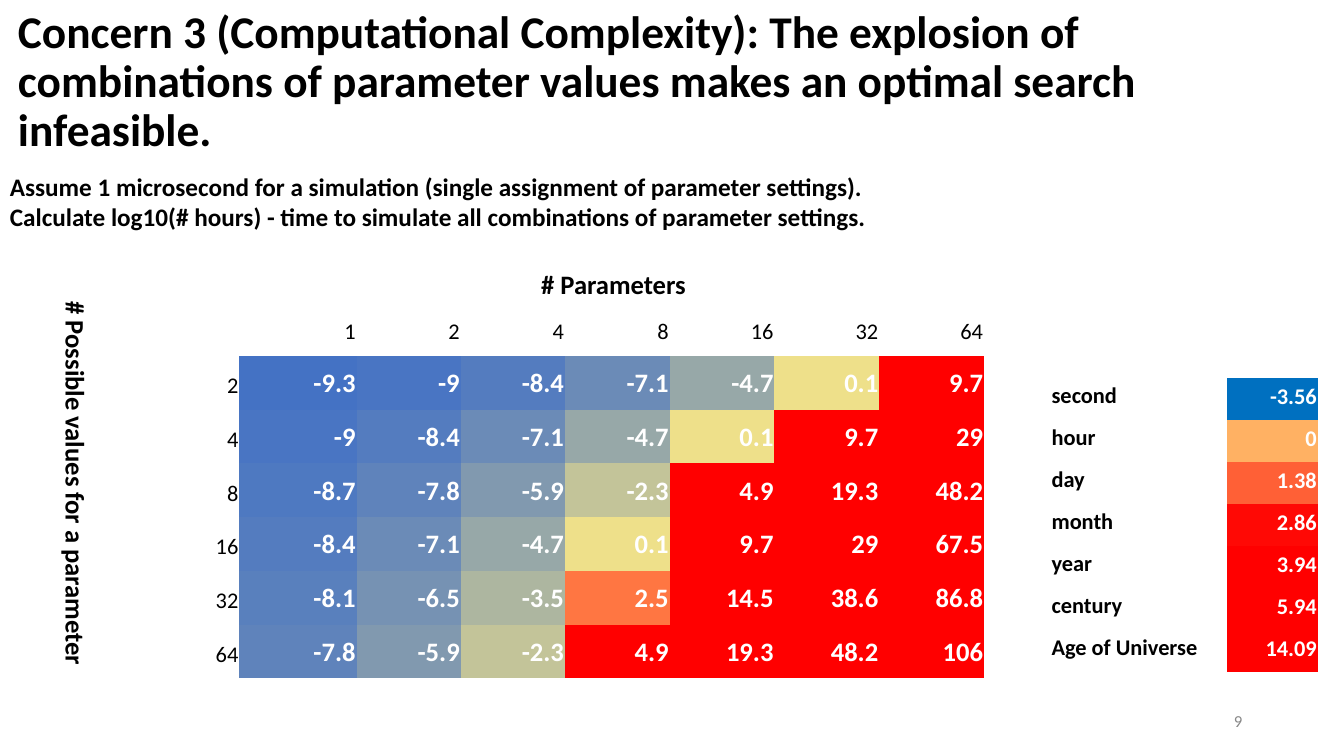
from dataclasses import dataclass
from math import log10

from pptx import Presentation
from pptx.dml.color import RGBColor
from pptx.enum.text import MSO_ANCHOR, PP_ALIGN
from pptx.oxml.ns import qn
from pptx.util import Inches, Pt

PAGE_WIDTH, PAGE_HEIGHT = Inches(13.33), Inches(7.5)
FONT = "Calibri"
NO_STYLE = "{2D5ABB26-0587-4C30-8999-92F81FD0307C}"
COLOURS = {"black": "000000", "white": "FFFFFF", "grey": "888888", "red": "FF0000"}
HEAT = {
    "-9.3": "4472C4", "-9": "4975C3", "-8.7": "4E79C1", "-8.4": "547CBF",
    "-8.1": "5980BD", "-7.8": "5F83BB", "-7.1": "6B8BB7", "-6.5": "7692B3",
    "-5.9": "8199AF", "-4.7": "97A8A8", "-3.5": "ADB6A0", "-2.3": "C3C499",
    "0.1": "EEE08A", "2.5": "FF7642",
    "-3.56": "0070C0", "0": "FFB163", "1.38": "FF6036", "2.86": "FF0905",
}
SIMULATIONS_PER_HOUR = 3600 * 10**6
PARAMETER_COUNTS = [1, 2, 4, 8, 16, 32, 64]
VALUE_COUNTS = [2, 4, 8, 16, 32, 64]
DURATIONS = {
    "second": "-3.56", "hour": "0", "day": "1.38", "month": "2.86",
    "year": "3.94", "century": "5.94", "Age of Universe": "14.09",
}


@dataclass(frozen=True)
class Area:
    """A rectangle in percent of the page's width and height."""
    left: float
    top: float
    width: float
    height: float

    def lengths(self) -> tuple[int, int, int, int]:
        return (across(self.left), down(self.top),
                across(self.width), down(self.height))


@dataclass(frozen=True)
class Label:
    area: Area
    lines: tuple[str, ...]
    size: float
    bold: bool = True
    colour: str = "black"
    align: PP_ALIGN = PP_ALIGN.LEFT
    anchor: MSO_ANCHOR = MSO_ANCHOR.TOP
    spacing: float = 1.0
    inset: float = 0.1
    rotation: int = 0


@dataclass(frozen=True)
class Entry:
    text: str
    size: float
    bold: bool = True
    colour: str = "black"
    align: PP_ALIGN = PP_ALIGN.RIGHT
    spacing: float = 1.15
    fill: str = ""


LABELS = [
    Label(Area(0.6, 1.33, 99.18, 19.33),
          ("Concern 3 (Computational Complexity): The explosion of combinations "
           "of parameter values makes an optimal search infeasible.",),
          32.4, anchor=MSO_ANCHOR.MIDDLE, spacing=0.9, inset=0.05),
    Label(Area(39.53, 34.13, 17.4, 6.93), ("# Parameters",), 19),
    Label(Area(-9.53, 62.13, 30.38, 6.93),
          ("# Possible values for a parameter",), 19, rotation=90),
    Label(Area(0, 21.33, 70.3, 10.8),
          ("Assume 1 microsecond for a simulation (single assignment of parameter settings).",
           "Calculate log10(# hours) - time to simulate all combinations of parameter settings."),
          18),
    Label(Area(70.67, 92.67, 22.5, 5.33), ("9",), 12, bold=False, colour="grey",
          align=PP_ALIGN.RIGHT, anchor=MSO_ANCHOR.MIDDLE, inset=0.05),
]


def across(percent: float) -> int:
    return round(PAGE_WIDTH * percent / 100)


def down(percent: float) -> int:
    return round(PAGE_HEIGHT * percent / 100)


def write(para, text: str, *, size: float, bold: bool, colour: str,
          align: PP_ALIGN, spacing: float) -> None:
    para.alignment = align
    para.line_spacing = spacing
    span = para.add_run()
    span.text = text
    span.font.name = FONT
    span.font.size = Pt(size)
    span.font.bold = bold
    span.font.color.rgb = RGBColor.from_string(COLOURS[colour])


def draw_label(page, label: Label) -> None:
    box = page.shapes.add_textbox(*label.area.lengths())
    box.rotation = label.rotation
    frame = box.text_frame
    frame.word_wrap = True
    frame.vertical_anchor = label.anchor
    frame.margin_left = frame.margin_right = Inches(0.1)
    frame.margin_top = frame.margin_bottom = Inches(label.inset)
    for index, line in enumerate(label.lines):
        para = frame.add_paragraph() if index else frame.paragraphs[0]
        write(para, line, size=label.size, bold=label.bold, colour=label.colour,
              align=label.align, spacing=label.spacing)


def draw_table(page, area: Area, widths: list[float], rows: list[list[Entry]]) -> None:
    table = page.shapes.add_table(len(rows), len(widths), *area.lengths()).table
    table.first_row = table.horz_banding = False
    table._tbl.tblPr.find(qn("a:tableStyleId")).text = NO_STYLE
    for column, width in zip(table.columns, widths):
        column.width = across(width)
    for row_index, row in enumerate(rows):
        for column_index, entry in enumerate(row):
            cell = table.cell(row_index, column_index)
            cell.vertical_anchor = MSO_ANCHOR.BOTTOM
            cell.margin_left = cell.margin_right = cell.margin_top = Inches(0.01)
            cell.margin_bottom = Inches(0.1)
            if entry.fill:
                cell.fill.solid()
                cell.fill.fore_color.rgb = RGBColor.from_string(entry.fill)
            else:
                cell.fill.background()
            if entry.text:
                write(cell.text_frame.paragraphs[0], entry.text, size=entry.size,
                      bold=entry.bold, colour=entry.colour, align=entry.align,
                      spacing=entry.spacing)


def heading(text: str) -> Entry:
    return Entry(text, 16, bold=False)


def heat_entry(text: str, size: float) -> Entry:
    return Entry(text, size, colour="white", fill=HEAT.get(text, COLOURS["red"]))


def search_time(values: int, parameters: int) -> str:
    """Log10 of the hours needed to try every combination."""
    return f"{round(parameters * log10(values) - log10(SIMULATIONS_PER_HOUR), 1):g}"


def main() -> None:
    deck = Presentation()
    deck.slide_width, deck.slide_height = PAGE_WIDTH, PAGE_HEIGHT
    page = deck.slides.add_slide(deck.slide_layouts[6])

    for label in LABELS:
        draw_label(page, label)

    complexity = [[heading(text) for text in ["", *map(str, PARAMETER_COUNTS)]]]
    for values in VALUE_COUNTS:
        times = [heat_entry(search_time(values, count), 19) for count in PARAMETER_COUNTS]
        complexity.append([heading(str(values)), *times])
    draw_table(page, Area(8.03, 40, 65.25, 49.73),
               [9.78, 8.72, 7.75, 7.75] + [7.8] * 4, complexity)

    legend = [[Entry(name, 16, align=PP_ALIGN.LEFT, spacing=1.0), heat_entry(time, 16)]
              for name, time in DURATIONS.items()]
    draw_table(page, Area(78.17, 50, 19.88, 37.2), [13.13, 6.75], legend)

    deck.save("out.pptx")


if __name__ == "__main__":
    main()
